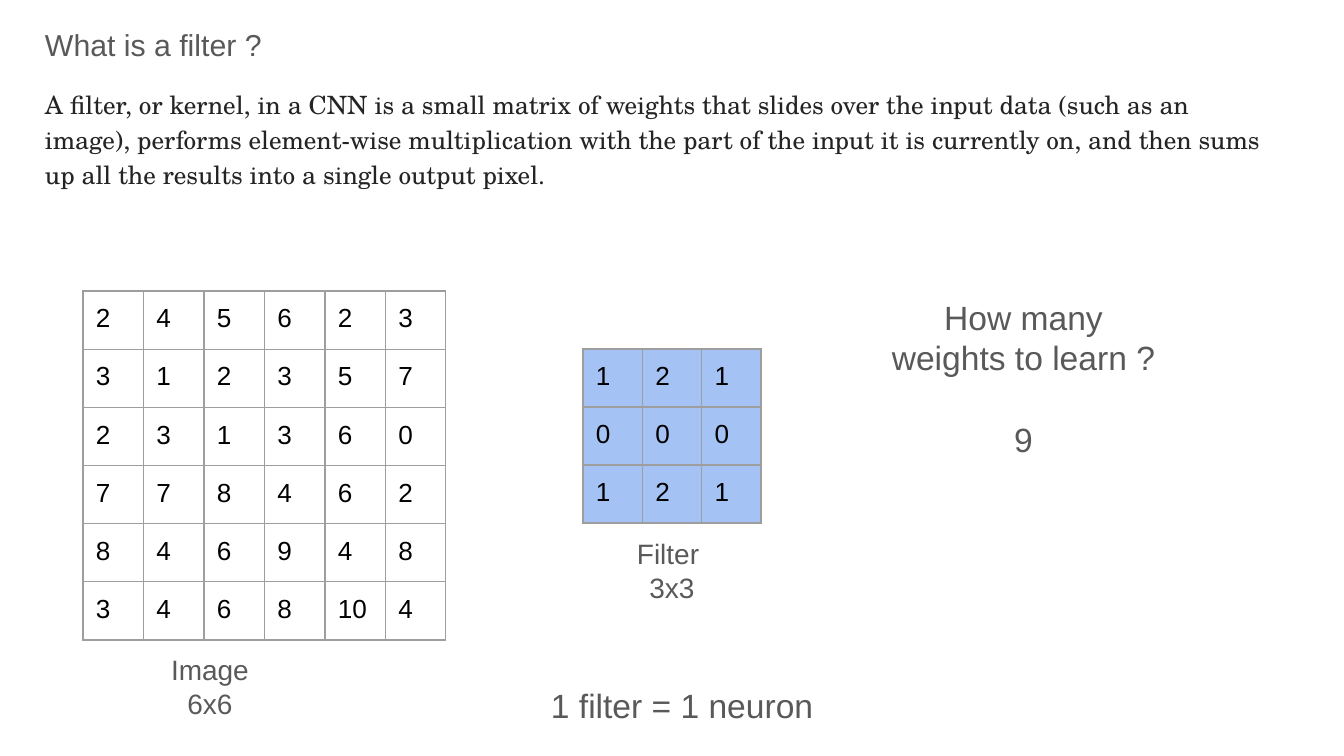
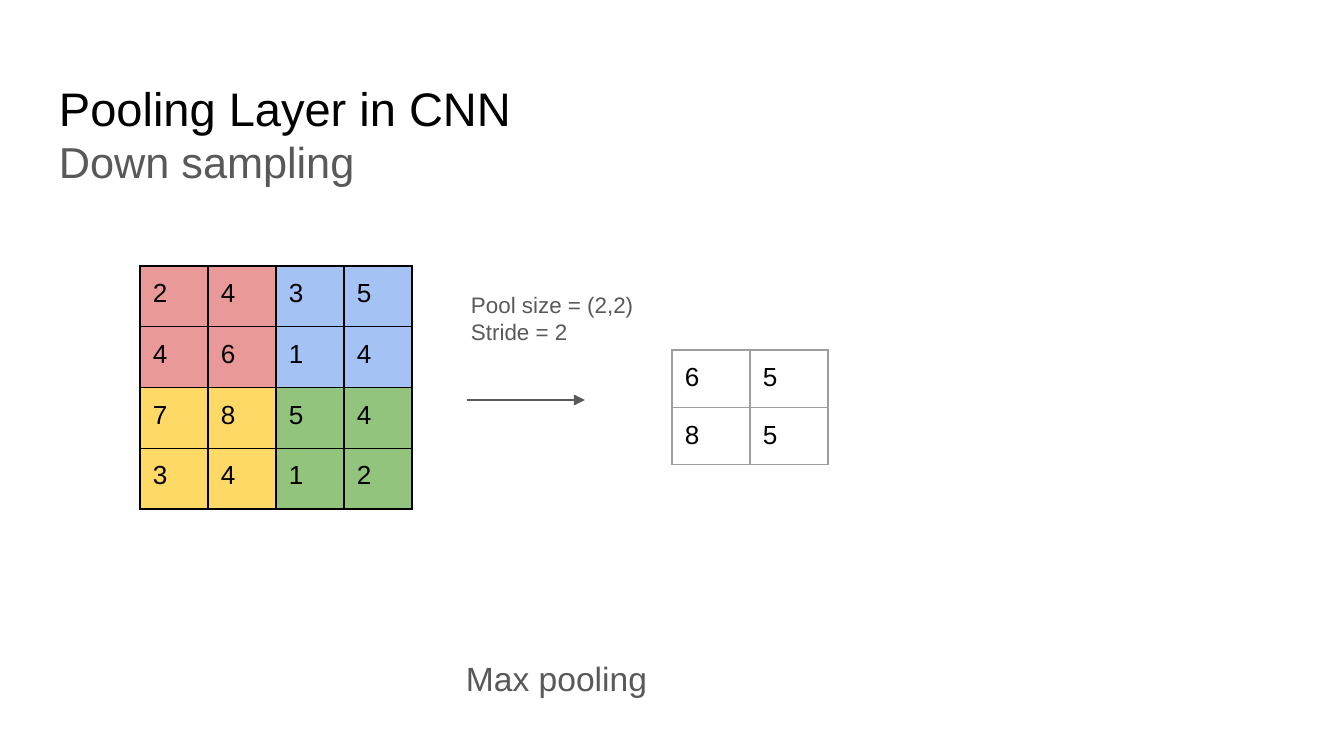
import dataclasses

import lxml.etree
import pptx
import pptx.dml.color
import pptx.enum.shapes
import pptx.enum.text
import pptx.oxml.ns
import pptx.slide
import pptx.util

EMU_PER_PX = 6804
ALIGN = pptx.enum.text.PP_ALIGN


@dataclasses.dataclass(frozen=True)
class Theme:
    sans: str = "Arial"
    serif: str = "TeX Gyre Schola"
    black: str = "000000"
    grey: str = "595959"
    ink: str = "242424"
    grid: str = "9E9E9E"
    red: str = "EA9999"
    blue: str = "A4C2F4"
    yellow: str = "FFD966"
    green: str = "93C47D"
    heading: float = 25.2
    subheading: float = 23.2
    question: float = 16.2
    definition: float = 13.5
    statement: float = 18
    caption: float = 15
    cell: float = 14
    note: float = 12
    line: float = 0.75
    inset: int = 13


THEME = Theme()


@dataclasses.dataclass(frozen=True)
class Box:
    left: int
    top: int
    width: int
    height: int


@dataclasses.dataclass(frozen=True)
class Line:
    text: str
    size: float
    color: str = THEME.grey
    font: str = THEME.sans
    before: float = 0
    spacing: float | None = None


@dataclasses.dataclass(frozen=True)
class Label:
    box: Box
    lines: tuple[Line, ...]
    align: ALIGN = ALIGN.LEFT


@dataclasses.dataclass(frozen=True)
class Matrix:
    box: Box
    values: tuple[tuple[int, ...], ...]
    blocks: tuple[tuple[str, ...], ...] = ()
    border: str = THEME.grid


@dataclasses.dataclass(frozen=True)
class Arrow:
    left: int
    right: int
    y: int


def px(length: float) -> pptx.util.Emu:
    return pptx.util.Emu(round(length * EMU_PER_PX))


def rgb(color: str) -> pptx.dml.color.RGBColor:
    return pptx.dml.color.RGBColor.from_string(color)


def place(box: Box) -> tuple[pptx.util.Emu, ...]:
    return px(box.left), px(box.top), px(box.width), px(box.height)


def set_insets(holder) -> None:
    holder.margin_left = holder.margin_right = px(THEME.inset)
    holder.margin_top = holder.margin_bottom = px(THEME.inset)


def add_run(paragraph, line: Line) -> None:
    run = paragraph.add_run()
    run.text = line.text
    run.font.size = pptx.util.Pt(line.size)
    run.font.name = line.font
    run.font.color.rgb = rgb(line.color)


def draw_label(slide: pptx.slide.Slide, label: Label) -> None:
    frame = slide.shapes.add_textbox(*place(label.box)).text_frame
    frame.word_wrap = True
    set_insets(frame)
    for index, line in enumerate(label.lines):
        paragraph = frame.add_paragraph() if index else frame.paragraphs[0]
        paragraph.alignment = label.align
        paragraph.space_before = pptx.util.Pt(line.before)
        if line.spacing:
            paragraph.line_spacing = line.spacing
        add_run(paragraph, line)


def draw_borders(cell, color: str) -> None:
    qn = pptx.oxml.ns.qn
    properties = cell._tc.get_or_add_tcPr()
    width = str(pptx.util.Pt(THEME.line))
    for side in ("a:lnL", "a:lnR", "a:lnT", "a:lnB"):
        edge = lxml.etree.SubElement(properties, qn(side), w=width)
        fill = lxml.etree.SubElement(edge, qn("a:solidFill"))
        lxml.etree.SubElement(fill, qn("a:srgbClr"), val=color)


def draw_matrix(slide: pptx.slide.Slide, matrix: Matrix) -> None:
    rows, columns = len(matrix.values), len(matrix.values[0])
    grid = slide.shapes.add_table(rows, columns, *place(matrix.box)).table
    grid.first_row = grid.horz_banding = False
    for column in grid.columns:
        column.width = px(matrix.box.width / columns)
    for row in grid.rows:
        row.height = px(matrix.box.height / rows)
    for r, numbers in enumerate(matrix.values):
        for c, number in enumerate(numbers):
            cell = grid.cell(r, c)
            set_insets(cell)
            add_run(cell.text_frame.paragraphs[0],
                    Line(str(number), THEME.cell, THEME.black))
            draw_borders(cell, matrix.border)
            if matrix.blocks:
                band = matrix.blocks[r * len(matrix.blocks) // rows]
                cell.fill.solid()
                cell.fill.fore_color.rgb = rgb(band[c * len(band) // columns])
            else:
                cell.fill.background()


def draw_arrow(slide: pptx.slide.Slide, arrow: Arrow) -> None:
    qn = pptx.oxml.ns.qn
    connector = slide.shapes.add_connector(
        pptx.enum.shapes.MSO_CONNECTOR.STRAIGHT,
        px(arrow.left), px(arrow.y), px(arrow.right), px(arrow.y))
    connector.line.color.rgb = rgb(THEME.grey)
    connector.line.width = pptx.util.Pt(THEME.line)
    lxml.etree.SubElement(connector.line._get_or_add_ln(), qn("a:tailEnd"),
                          type="triangle", w="med", len="med")
    lxml.etree.SubElement(connector._element.spPr, qn("a:effectLst"))


FILTER_SLIDE = (
    Label(Box(32, 8, 1253, 85), (
        Line("What is a filter ?", THEME.question, spacing=1.15),
        Line("A filter, or kernel, in a CNN is a small matrix of weights that "
             "slides over the input data (such as an image), performs "
             "element-wise multiplication with the part of the input it is "
             "currently on, and then sums up all the results into a single "
             "output pixel.",
             THEME.definition, THEME.ink, THEME.serif, 12, 1.15))),
    Label(Box(538, 672, 293, 67),
          (Line("1 filter = 1 neuron", THEME.statement),)),
    Matrix(Box(583, 349, 178, 174),
           ((1, 2, 1), (0, 0, 0), (1, 2, 1)), ((THEME.blue,),)),
    Matrix(Box(83, 291, 363, 349), (
        (2, 4, 5, 6, 2, 3),
        (3, 1, 2, 3, 5, 7),
        (2, 3, 1, 3, 6, 0),
        (7, 7, 8, 4, 6, 2),
        (8, 4, 6, 9, 4, 8),
        (3, 4, 6, 8, 10, 4))),
    Label(Box(156, 640, 108, 95),
          (Line("Image", THEME.caption), Line("6x6", THEME.caption)),
          ALIGN.CENTER),
    Label(Box(618, 524, 108, 95),
          (Line("Filter ", THEME.caption), Line("3x3", THEME.caption)),
          ALIGN.CENTER),
    Label(Box(871, 284, 305, 190),
          (Line("How many weights to learn ?", THEME.statement),
           Line("9", THEME.statement, before=22)),
          ALIGN.CENTER),
)

POOLING_SLIDE = (
    Label(Box(46, 66, 1253, 85), (
        Line("Pooling Layer in CNN", THEME.heading, THEME.black),
        Line("Down sampling", THEME.subheading))),
    Matrix(Box(140, 266, 272, 243),
           ((2, 4, 3, 5), (4, 6, 1, 4), (7, 8, 5, 4), (3, 4, 1, 2)),
           ((THEME.red, THEME.blue), (THEME.yellow, THEME.green)),
           THEME.black),
    Matrix(Box(672, 350, 156, 112), ((6, 5), (8, 5))),
    Arrow(467, 585, 400),
    Label(Box(458, 278, 886, 82),
          (Line("Pool size = (2,2)", THEME.note),
           Line("Stride = 2", THEME.note))),
    Label(Box(453, 645, 891, 67), (Line("Max pooling", THEME.statement),)),
)

DRAWERS = {Label: draw_label, Matrix: draw_matrix, Arrow: draw_arrow}


def main() -> None:
    deck = pptx.Presentation()
    deck.slide_width, deck.slide_height = px(1344), px(756)
    for parts in (FILTER_SLIDE, POOLING_SLIDE):
        slide = deck.slides.add_slide(deck.slide_layouts[6])
        for part in parts:
            DRAWERS[type(part)](slide, part)
    deck.save("out.pptx")


if __name__ == "__main__":
    main()
